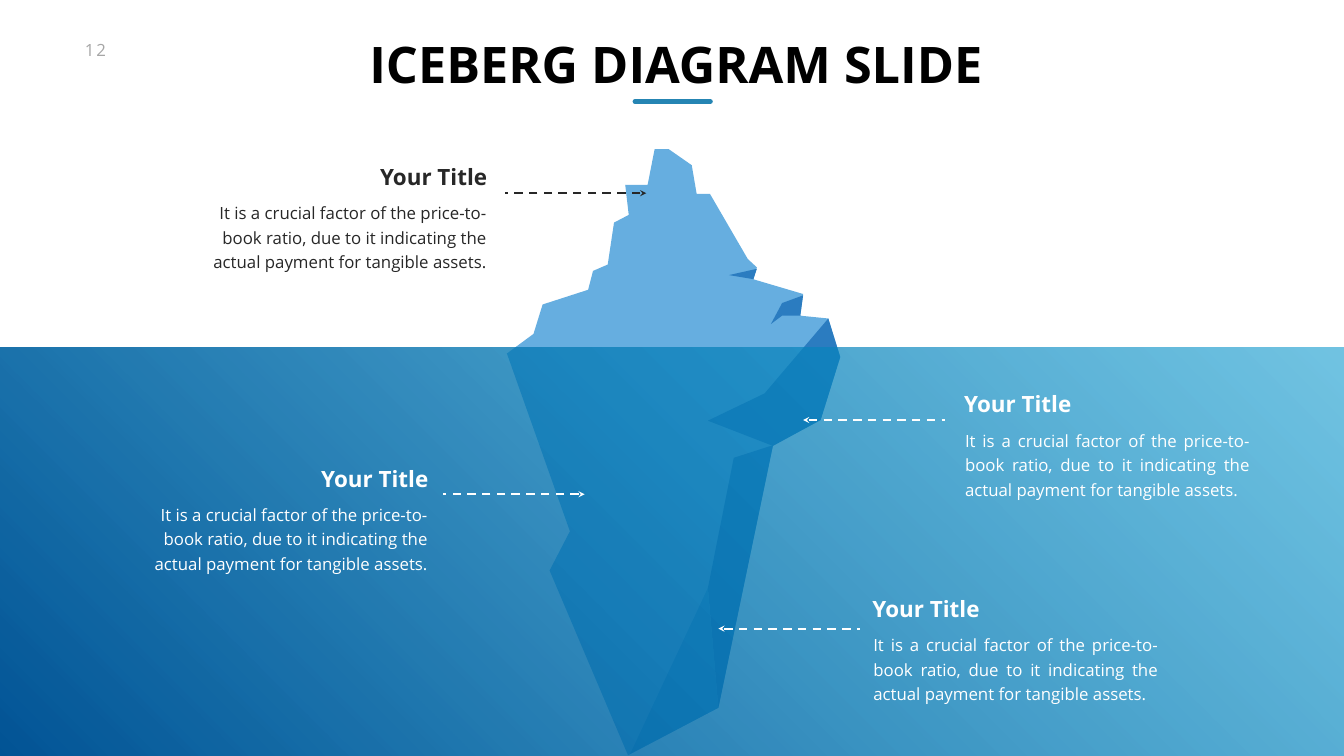
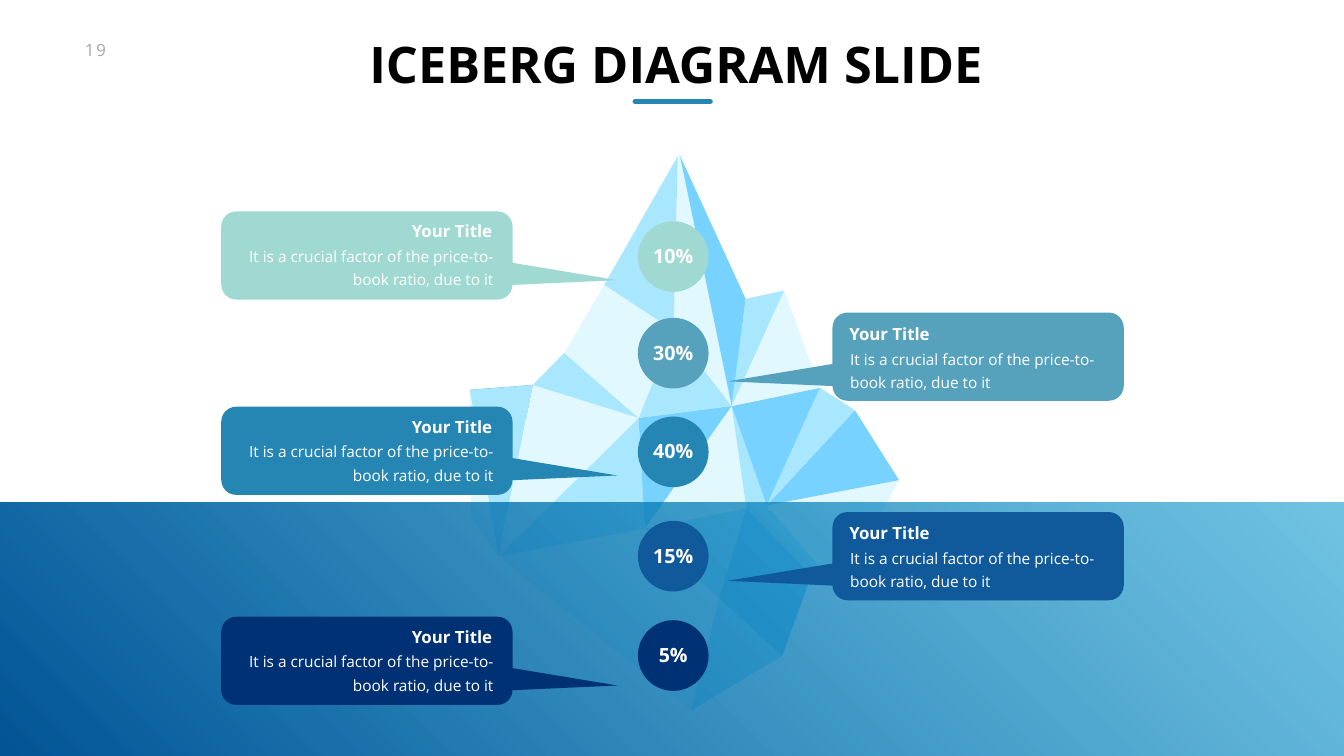
from pptx import Presentation
from pptx.dml.color import RGBColor
from pptx.enum.dml import MSO_LINE
from pptx.enum.shapes import MSO_CONNECTOR, MSO_SHAPE
from pptx.enum.text import MSO_ANCHOR, MSO_AUTO_SIZE, PP_ALIGN
from pptx.oxml.ns import qn
from pptx.util import Pt
from lxml import etree

LEFT, CENTER, RIGHT, JUSTIFY = PP_ALIGN.LEFT, PP_ALIGN.CENTER, PP_ALIGN.RIGHT, PP_ALIGN.JUSTIFY
TOP, MIDDLE = MSO_ANCHOR.TOP, MSO_ANCHOR.MIDDLE
GROW = MSO_AUTO_SIZE.SHAPE_TO_FIT_TEXT
DASH = MSO_LINE.DASH
STRAIGHT = MSO_CONNECTOR.STRAIGHT
RECTANGLE, OVAL = MSO_SHAPE.RECTANGLE, MSO_SHAPE.OVAL
CALLOUT = MSO_SHAPE.ROUNDED_RECTANGULAR_CALLOUT

WIDTH, HEIGHT = 1919.52, 1080
FONT = "Open Sans"
COLORS = {
    "white": "FFFFFF", "black": "000000", "ink": "272727", "number": "A6A6A6",
    "sea deep": "005496", "sea light": "0D99CE",
    "berg": "66AEE0", "berg shade": "2B7CC0", "berg foot": "3A93D0",
    "ice pale": "E1F8FF", "ice light": "A9E7FF", "ice mid": "78D2FF", "ice dark": "2191C9",
    "mint": "9FD9D2", "teal": "56A2BD", "blue": "2585B3", "royal": "10599B", "navy": "003175",
}
DEFAULT_INSETS = (7.2, 3.6, 7.2, 3.6)
BODY_INSETS = (17.28, 8.64, 17.28, 8.64)

HEADING = "Your Title"
LONG_BODY = ("It is a crucial factor of the price-to-book ratio, due to it indicating "
             "the actual payment for tangible assets.")
SHORT_BODY = "It is a crucial factor of the price-to-book ratio, due to it"

# Caption styles: body size, heading size and rise above the body, text sizes, line pitch
NOTE = {"body": (441, 121), "heading": (169, 46), "rise": 46,
        "heading_size": 32, "body_size": 24, "pitch": 35}
CARD = {"body": (392, 82), "heading": (130, 36), "rise": 26,
        "heading_size": 24, "body_size": 22, "pitch": 33}

BERG_FACETS = [
    ("berg", [(724, 505), (762, 477), (775, 435), (840, 414), (847, 387), (868, 378),
              (877, 318), (898, 307), (893, 264), (925, 264), (935, 213), (955, 213),
              (988, 236), (995, 277), (1014, 277), (1068, 370), (1081, 382), (1076, 399),
              (1147, 420), (1143, 451), (1183, 455), (1200, 510), (1172, 600),
              (1104, 636), (1026, 1011), (897, 1079), (785, 815), (814, 759)]),
    ("berg shade", [(1041, 393), (1077, 399), (1076, 399), (1081, 384)]),
    ("berg shade", [(1145, 451), (1143, 451), (1147, 422), (1117, 433), (1101, 463),
                    (1117, 451)]),
    ("berg shade", [(1200, 510), (1183, 455), (1092, 562), (1011, 601), (1104, 637),
                    (1172, 600)]),
    ("berg shade", [(1011, 840), (1026, 1011), (1104, 636), (1048, 654)]),
    ("berg foot", [(900, 1077), (1026, 1011), (1011, 840)]),
]

CORNERS = {
    "apex": (971, 222), "apex left": (968, 223), "shoulder": (863, 407),
    "neck": (962, 472), "center": (1045, 580), "hub": (912, 597),
    "flank": (1065, 427), "flank low": (1055, 509), "peak": (1120, 415),
    "shelf": (1171, 554), "edge": (1221, 586), "tip": (1284, 686),
    "joint": (1095, 722), "joint left": (1066, 726), "low hub": (921, 755),
    "keel left": (712, 795), "left top": (671, 557), "left inner": (833, 642),
    "left low": (673, 738), "ledge": (761, 550), "step": (806, 504),
    "belly": (1027, 855), "bottom": (987, 1015), "heel": (1199, 843),
    "heel inner": (1159, 822), "foot": (1117, 937),
}
CRYSTAL_FACETS = [
    ("ice pale", "left low, left top, keel left"),
    ("ice pale", "belly, bottom, keel left, joint, joint left"),
    ("ice pale", "tip, heel, joint"),
    ("ice dark", "left top, left inner, ledge"),
    ("ice light", "bottom, belly, foot"),
    ("ice light", "belly, low hub, joint left"),
    ("ice light", "joint left, joint, heel, heel inner"),
    ("ice mid", "heel inner, foot, belly, joint left"),
    ("ice pale", "center, joint left, low hub"),
    ("ice light", "low hub, keel left, hub"),
    ("ice light", "keel left, left top, ledge"),
    ("ice pale", "keel left, ledge, hub"),
    ("ice light", "ledge, step, hub"),
    ("ice mid", "center, low hub, hub"),
    ("ice light", "hub, neck, center"),
    ("ice pale", "neck, hub, step, shoulder"),
    ("ice pale", "neck, apex left, apex, center"),
    ("ice mid", "center, apex, flank, flank low"),
    ("ice light", "neck, shoulder, apex left"),
    ("ice mid", "edge, tip, joint"),
    ("ice light", "edge, joint, shelf"),
    ("ice light", "joint left, center, joint"),
    ("ice mid", "shelf, joint, center"),
    ("ice pale", "shelf, center, peak"),
    ("ice light", "center, flank, peak"),
]


def rgb(color):
    return RGBColor.from_string(COLORS[color])


def set_values(target, **values):
    for name, value in values.items():
        setattr(target, name, value)


class Deck:
    def __init__(self):
        self.presentation = Presentation()
        set_values(self.presentation, slide_width=Pt(WIDTH), slide_height=Pt(HEIGHT))
        self.slide = None

    def new_slide(self, number, title):
        self.slide = self.presentation.slides.add_slide(self.presentation.slide_layouts[6])
        set_values(self.slide.background.fill)
        self.slide.background.fill.solid()
        self.slide.background.fill.fore_color.rgb = rgb("white")
        self.text(number, 114, 53, 54, 36, 24, "number", tracking=3)
        self.text(title, 516, 47, 892, 87, 72, "black", bold=True, align=CENTER,
                  insets=(7.2, 0, 0, 0))
        self.line((907, 145), (1014.5, 145), "blue", 7).set("cap", "rnd")

    def text(self, content, x, y, width, height, size, color, bold=False, align=LEFT,
             anchor=TOP, insets=DEFAULT_INSETS, wrap=False, pitch=None, tracking=None):
        box = self.slide.shapes.add_textbox(Pt(x), Pt(y), Pt(width), Pt(height))
        frame = box.text_frame
        left, top, right, bottom = map(Pt, insets)
        set_values(frame, margin_left=left, margin_top=top, margin_right=right,
                   margin_bottom=bottom, word_wrap=wrap, auto_size=GROW,
                   vertical_anchor=anchor)
        paragraph = frame.paragraphs[0]
        paragraph.alignment = align
        if pitch:
            set_values(paragraph, line_spacing=Pt(pitch), space_before=Pt(size * 0.2))
        run = paragraph.add_run()
        run.text = content
        set_values(run.font, name=FONT, size=Pt(size), bold=bold)
        run.font.color.rgb = rgb(color)
        if tracking:
            run._r.get_or_add_rPr().set("spc", str(tracking * 100))

    def line(self, start, end, color, weight, dash=None):
        """Draw a line and return its a:ln element."""
        connector = self.slide.shapes.add_connector(STRAIGHT, *map(Pt, start + end))
        set_values(connector.line, width=Pt(weight), dash_style=dash)
        connector.line.color.rgb = rgb(color)
        properties = connector.element.spPr
        etree.SubElement(properties, qn("a:effectLst"))
        return properties.find(qn("a:ln"))

    def arrow(self, tip, end, color):
        outline = self.line(tip, end, color, 3, DASH)
        etree.SubElement(outline, qn("a:headEnd"), type="stealth")

    def shape(self, kind, x, y, width, height, color=None):
        shape = self.slide.shapes.add_shape(kind, Pt(x), Pt(y), Pt(width), Pt(height))
        self.finish(shape, color)
        return shape

    def finish(self, shape, color):
        shape.shadow.inherit = False
        shape.line.fill.background()
        if color:
            shape.fill.solid()
            shape.fill.fore_color.rgb = rgb(color)

    def facets(self, facets):
        """Draw filled polygons as one group."""
        group = self.slide.shapes.add_group_shape()
        for color, points in facets:
            builder = group.shapes.build_freeform(*points[0], scale=Pt(1))
            builder.add_line_segments(points[1:], close=True)
            self.finish(builder.convert_to_shape(), color)

    def sea(self, top):
        """Cover the slide below the waterline with a half-clear gradient."""
        sea = self.shape(RECTANGLE, 0, top, WIDTH, HEIGHT - top)
        sea.fill.gradient()
        sea.fill.gradient_angle = 45
        stops = zip(sea.fill.gradient_stops, ("sea deep", "sea light"), (0, 1))
        for stop, color, position in stops:
            stop.color.rgb = rgb(color)
            stop.position = position
        light = list(sea.element.spPr.iter(qn("a:srgbClr")))[-1]
        etree.SubElement(light, qn("a:alpha"), val="59000")

    def caption(self, style, body, x, y, color, on_left, align, heading_inset=9):
        """Place a heading over a body whose top left corner is x, y."""
        body_width, body_height = style["body"]
        width, height = style["heading"]
        heading_x = x + heading_inset
        if on_left:
            heading_x = x + body_width - heading_inset - width
        self.text(HEADING, heading_x, y - style["rise"], width, height,
                  style["heading_size"], color, bold=True,
                  align=RIGHT if on_left else LEFT, anchor=MIDDLE)
        self.text(body, x, y, body_width, body_height, style["body_size"], color,
                  align=align, insets=BODY_INSETS, wrap=True, pitch=style["pitch"])

    def callout(self, y, color, on_left):
        x = 316 if on_left else 1189
        bubble = self.shape(CALLOUT, x, y, 416, 126, color)
        for index, value in enumerate((0.86 if on_left else -0.86, 0.28, 0.17)):
            bubble.adjustments[index] = value
        if on_left:
            self.caption(CARD, SHORT_BODY, x + 14, y + 36, "white", True, RIGHT, 12)
        else:
            self.caption(CARD, SHORT_BODY, x + 8, y + 38, "white", False, LEFT)

    def badge(self, label, y, color):
        self.shape(OVAL, 911, y, 101, 101, color)
        self.text(label, 925.5, y + 29, 72, 41, 28, "white", bold=True, align=CENTER)


def build_notes_slide(deck):
    deck.new_slide("12", "ICEBERG DIAGRAM SLIDE")
    deck.facets(BERG_FACETS)
    deck.sea(496)
    arrow_length = 202
    notes = [  # body corner, arrow tip, color, on the left
        ((1361, 600), (1147, 600), "white", False),
        ((1230, 892), (1026, 898), "white", False),
        ((187, 706), (835, 706), "white", True),
        ((271, 275), (923, 276), "ink", True),
    ]
    for (x, y), tip, color, on_left in notes:
        reach = -arrow_length if on_left else arrow_length
        deck.arrow(tip, (tip[0] + reach, tip[1]), color)
        deck.caption(NOTE, LONG_BODY, x, y, color, on_left, RIGHT if on_left else JUSTIFY)


def build_shares_slide(deck):
    deck.new_slide("19", "ICEBERG DIAGRAM SLIDE")
    deck.facets([(color, [CORNERS[name] for name in names.split(", ")])
                 for color, names in CRYSTAL_FACETS])
    deck.sea(718.5)
    shares = [  # label, badge top, callout top, color
        ("10%", 316, 302, "mint"),
        ("30%", 454, 446.5, "teal"),
        ("40%", 595, 581, "blue"),
        ("15%", 744, 731.5, "royal"),
        ("5%", 886, 881, "navy"),
    ]
    for index, (label, badge_top, callout_top, color) in enumerate(shares):
        deck.badge(label, badge_top, color)
        deck.callout(callout_top, color, on_left=index % 2 == 0)


def main():
    deck = Deck()
    build_notes_slide(deck)
    build_shares_slide(deck)
    deck.presentation.save("out.pptx")


if __name__ == "__main__":
    main()
